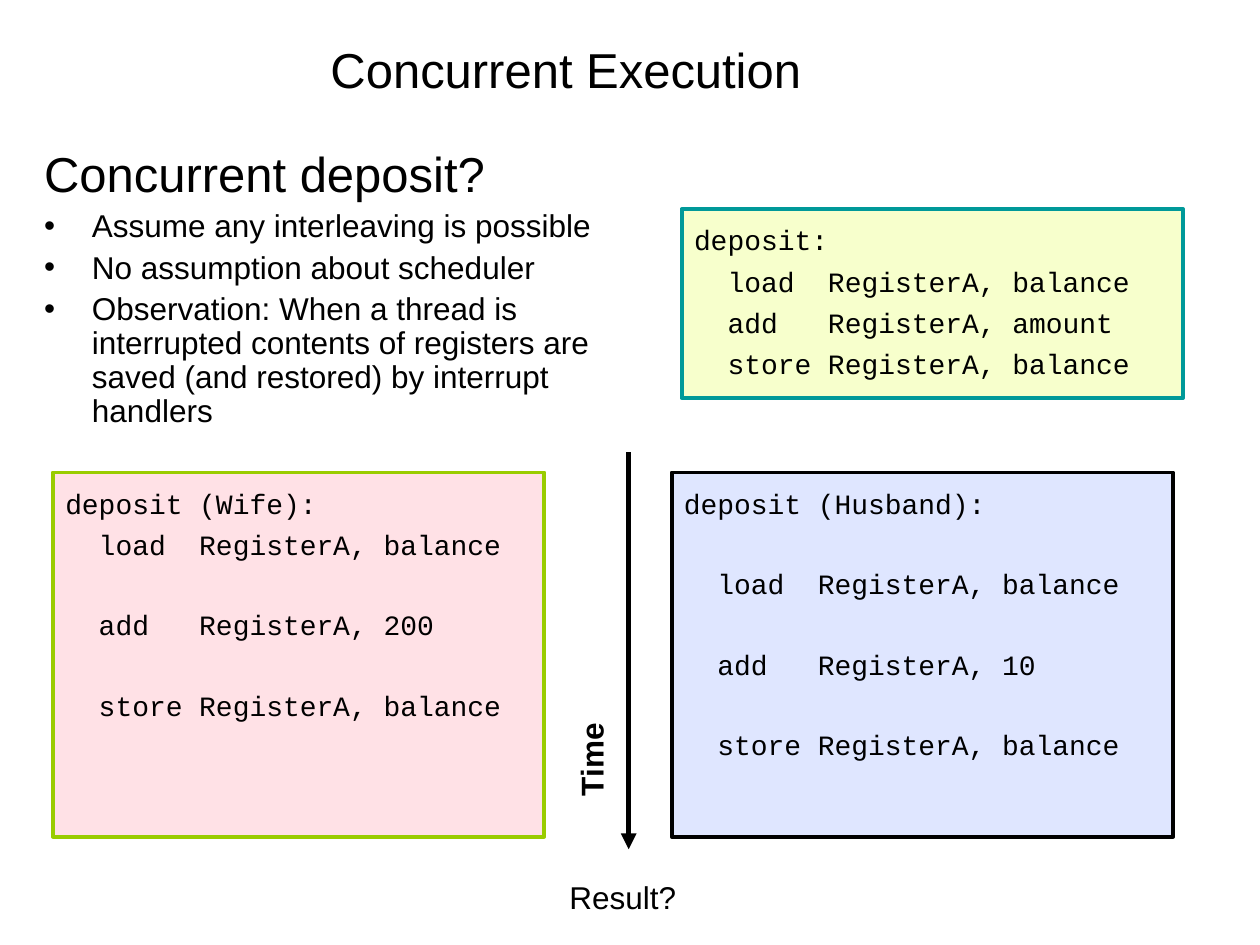
from lxml.etree import SubElement
from pptx import Presentation
from pptx.dml.color import RGBColor
from pptx.enum.shapes import MSO_CONNECTOR, MSO_SHAPE
from pptx.enum.text import MSO_ANCHOR, MSO_AUTO_SIZE, PP_ALIGN
from pptx.oxml.ns import qn
from pptx.util import Inches, Pt

SPACE_BEFORE = 4.3
CODE_ROW = 22.5  # height in points of one skipped row of code


def color(value):
    return RGBColor.from_string(value)


def place(shape, left, top, width, height):
    shape.left, shape.top = Inches(left), Inches(top)
    shape.width, shape.height = Inches(width), Inches(height)


def write(para, text, size=18, font="Arial", bold=False, align=PP_ALIGN.LEFT,
          before=0, spacing=1.0, hanging=0, bullet=None):
    """Fill one paragraph with formatted text."""
    para.alignment = align
    para.space_before = Pt(before)
    para.line_spacing = spacing
    properties = para._p.get_or_add_pPr()
    properties.set("marL", str(Inches(hanging)))
    properties.set("indent", str(-Inches(hanging)))
    if bullet:
        SubElement(properties, qn("a:buChar"), char=bullet)
    else:
        SubElement(properties, qn("a:buNone"))
    span = para.add_run()
    span.text = text
    span.font.size = Pt(size)
    span.font.name = font
    span.font.bold = bold
    span.font.color.rgb = color("000000")


def next_paragraph(frame, index):
    return frame.add_paragraph() if index else frame.paragraphs[0]


def add_title(page, text):
    box = page.shapes.title
    place(box, 0.58, 0.09, 7.82, 0.91)
    box.text_frame.auto_size = MSO_AUTO_SIZE.NONE
    box.text_frame.vertical_anchor = MSO_ANCHOR.MIDDLE
    write(box.text_frame.paragraphs[0], text, size=28, align=PP_ALIGN.CENTER)


def add_body(page, heading, points):
    box = page.placeholders[1]
    place(box, 0.25, 1.08, 4.91, 2.41)
    frame = box.text_frame
    frame.auto_size = MSO_AUTO_SIZE.NONE
    frame.vertical_anchor = MSO_ANCHOR.TOP
    frame.margin_top = Inches(0.11)
    write(frame.paragraphs[0], heading, size=28, spacing=0.9, hanging=0.38)
    for point in points:
        write(frame.add_paragraph(), point, before=SPACE_BEFORE, spacing=0.9,
              hanging=0.38, bullet="•")


def add_code(page, bounds, fill, line, rows):
    """Draw a half-transparent code panel; an empty row widens the next gap."""
    box = page.shapes.add_shape(MSO_SHAPE.RECTANGLE, *map(Inches, bounds))
    box.shadow.inherit = False
    box.fill.solid()
    box.fill.fore_color.rgb = color(fill)
    tint = box._element.spPr.find(qn("a:solidFill"))[0]
    SubElement(tint, qn("a:alpha"), val="50000")
    box.line.color.rgb = color(line)
    box.line.width = Pt(2.25)
    frame = box.text_frame
    frame.word_wrap = True
    frame.vertical_anchor = MSO_ANCHOR.TOP
    frame.margin_top = Inches(0.11)
    gap = 0
    for index, row in enumerate(rows):
        if not row:
            gap += CODE_ROW
            continue
        write(next_paragraph(frame, index), row, size=16, font="Courier New",
              before=gap, hanging=0.38)
        gap = SPACE_BEFORE


def add_label(page, text, bounds, rotation=0, anchor=MSO_ANCHOR.TOP, **style):
    box = page.shapes.add_textbox(*map(Inches, bounds))
    box.rotation = rotation
    frame = box.text_frame
    frame.word_wrap = False
    frame.auto_size = MSO_AUTO_SIZE.SHAPE_TO_FIT_TEXT
    frame.vertical_anchor = anchor
    write(frame.paragraphs[0], text, **style)


def add_arrow(page, x, top, bottom):
    arrow = page.shapes.add_connector(
        MSO_CONNECTOR.STRAIGHT, Inches(x), Inches(top), Inches(x), Inches(bottom))
    arrow.line.color.rgb = color("000000")
    arrow.line.width = Pt(3)
    SubElement(arrow.line._get_or_add_ln(), qn("a:tailEnd"), type="triangle")
    SubElement(arrow._element.spPr, qn("a:effectLst"))


def main():
    deck = Presentation()
    deck.slide_width, deck.slide_height = Inches(10), Inches(7.5)
    page = deck.slides.add_slide(deck.slide_layouts[1])

    # Title and assumptions
    add_title(page, "Concurrent Execution")
    add_body(page, "Concurrent deposit?", [
        "Assume any interleaving is possible",
        "No assumption about scheduler",
        "Observation: When a thread is interrupted contents of registers are "
        "saved (and restored) by interrupt handlers",
    ])

    # Two interleaved threads
    load, store = "  load  RegisterA, balance", "  store RegisterA, balance"
    add_code(page, (0.42, 3.75, 3.9, 2.89), "FFC5CF", "99CC00",
             ["deposit (Wife):", load, "", "  add   RegisterA, 200", "", store])
    add_code(page, (5.33, 3.75, 3.98, 2.89), "C1CEFF", "000000",
             ["deposit (Husband):", "", load, "", "  add   RegisterA, 10", "", store])

    # Time axis
    add_arrow(page, 4.99, 3.59, 6.74)
    add_label(page, "Time", (4.3, 5.83, 0.78, 0.4), rotation=270,
              anchor=MSO_ANCHOR.BOTTOM, bold=True, align=PP_ALIGN.CENTER)

    # The routine itself and the closing question
    add_code(page, (5.41, 1.66, 3.98, 1.5), "F0FF9B", "009999",
             ["deposit:", load, "  add   RegisterA, amount", store])
    add_label(page, "Result?", (4.42, 6.92, 1.05, 0.4))

    deck.save("out.pptx")


if __name__ == "__main__":
    main()
